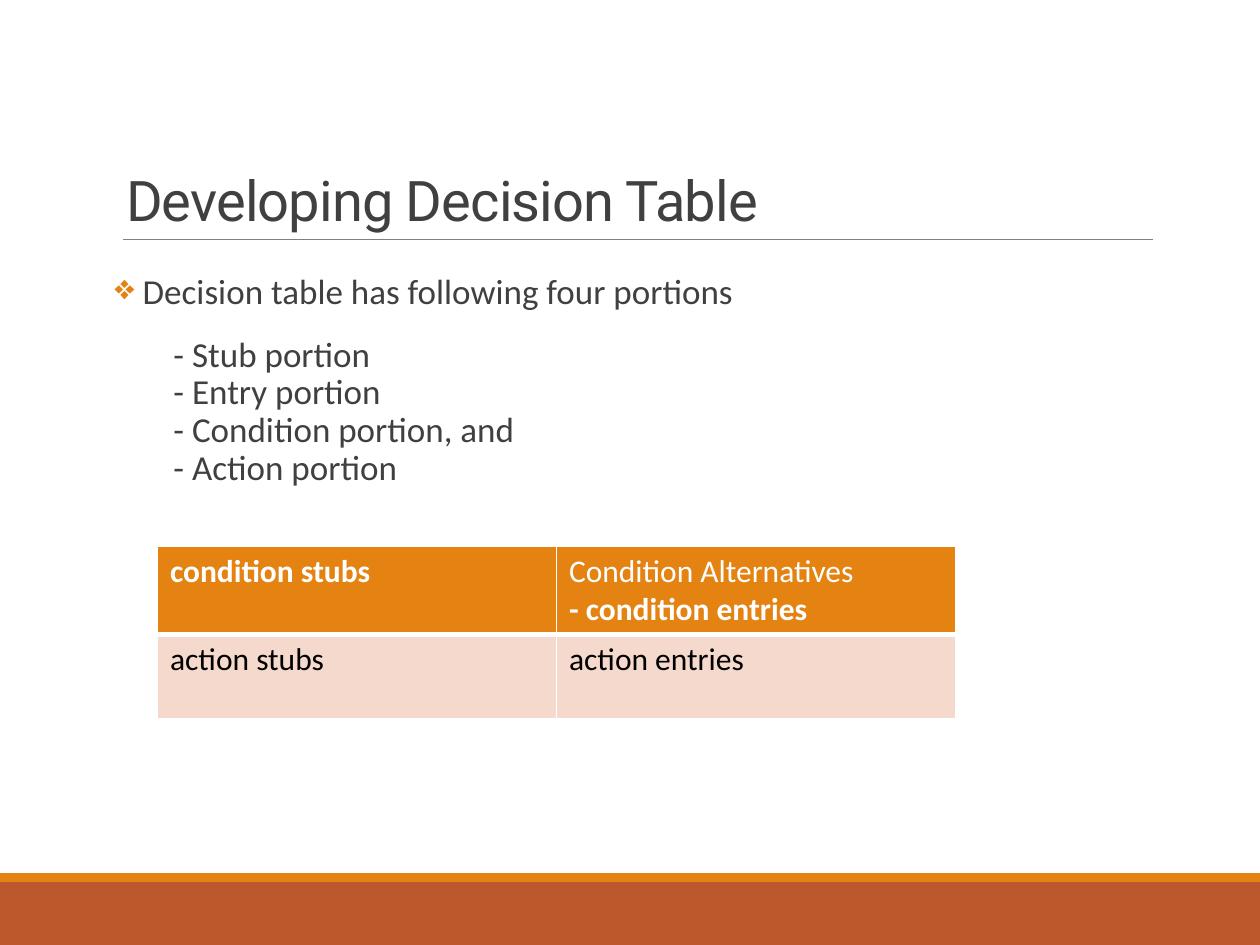
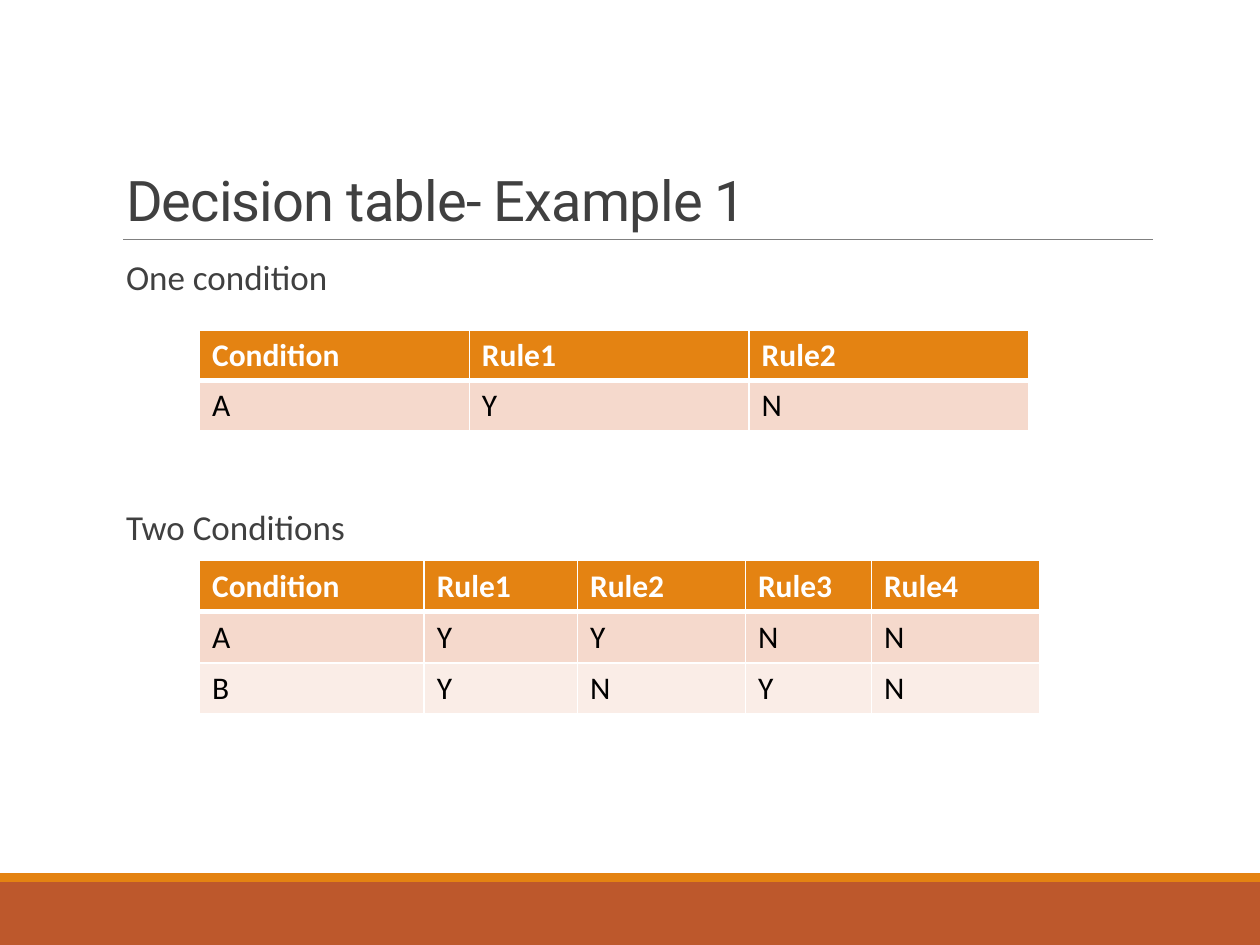
from dataclasses import dataclass

from lxml.etree import SubElement
from pptx import Presentation
from pptx.dml.color import RGBColor as Color
from pptx.enum.shapes import MSO_CONNECTOR as Connector, MSO_SHAPE as Shape
from pptx.enum.text import MSO_ANCHOR as Anchor, MSO_AUTO_SIZE as AutoSize, PP_ALIGN as Align
from pptx.oxml import parse_xml
from pptx.oxml.ns import nsdecls, qn
from pptx.util import Inches, Pt


@dataclass(frozen=True)
class Theme:
    title_font: str = "Roboto"
    body_font: str = "Calibri"
    title_size: int = 32
    body_size: int = 20
    table_size: int = 18
    text: str = "404040"
    accent: str = "E48312"
    band: str = "BD582C"
    rule: str = "808080"
    white: str = "FFFFFF"
    black: str = "000000"
    row_fills: tuple = ("F5D9CC", "FAEDE7")


THEME = Theme()
COLUMNS, ROWS = 120, 90
CELL = Inches(10) / COLUMNS
TITLE_BOX = (10.8, 3.72, 99, 19.08)
BODY_WIDTH, BODY_HEIGHT = 99, 52.8
BAND_TOP, ACCENT_HEIGHT = 84, 0.84
RULE_LEFT, RULE_RIGHT, RULE_TOP = 11.76, 109.8, 22.8
TEXT_INDENT, SUBLIST_INDENT = 1.2, 5.6


def grid(*cells):
    return [round(cell * CELL) for cell in cells]


def add_run(paragraph, text, font, size, color, bold=False):
    run = paragraph.add_run()
    run.text = text
    run.font.name = font
    run.font.size = Pt(size)
    run.font.bold = bold
    run.font.color.rgb = Color.from_string(color)
    return run


def next_paragraph(frame, index):
    return frame.add_paragraph() if index else frame.paragraphs[0]


def add_band(slide, top, height, color):
    band = slide.shapes.add_shape(Shape.RECTANGLE, *grid(0, top, COLUMNS, height))
    band.shadow.inherit = False
    band.fill.solid()
    band.fill.fore_color.rgb = Color.from_string(color)
    band.line.fill.background()


def add_rule(slide):
    rule = slide.shapes.add_connector(
        Connector.STRAIGHT, *grid(RULE_LEFT, RULE_TOP, RULE_RIGHT, RULE_TOP))
    rule.line.color.rgb = Color.from_string(THEME.rule)
    rule.line.width = Pt(0.5)
    SubElement(rule._element.spPr, qn("a:effectLst"))


def set_title(slide, text):
    title = slide.shapes.title
    title.left, title.top, title.width, title.height = grid(*TITLE_BOX)
    frame = title.text_frame
    frame.auto_size = AutoSize.NONE
    frame.vertical_anchor = Anchor.BOTTOM
    paragraph = frame.paragraphs[0]
    paragraph.alignment = Align.LEFT
    paragraph.line_spacing = 0.85
    run = add_run(paragraph, text, THEME.title_font, THEME.title_size, THEME.text)
    run.font._element.set("spc", "-50")


def add_titled_slide(presentation, title):
    slide = presentation.slides.add_slide(presentation.slide_layouts[5])
    add_band(slide, BAND_TOP, ROWS - BAND_TOP, THEME.band)
    add_band(slide, BAND_TOP - ACCENT_HEIGHT, ACCENT_HEIGHT, THEME.accent)
    add_rule(slide)
    set_title(slide, title)
    return slide


def add_body(slide, left, top):
    box = slide.shapes.add_textbox(*grid(left, top, BODY_WIDTH, BODY_HEIGHT))
    frame = box.text_frame
    frame.word_wrap = True
    frame.margin_left = frame.margin_right = 0
    return frame


def add_body_line(frame, index, text, before=12, after=2, indent=TEXT_INDENT, bullet=None):
    paragraph = next_paragraph(frame, index)
    paragraph.line_spacing = 0.9
    paragraph.space_before = Pt(before)
    paragraph.space_after = Pt(after)
    properties = paragraph._p.get_or_add_pPr()
    margin = grid(indent)[0]
    properties.set("marL", str(margin))
    if bullet:
        properties.set("indent", str(-margin))
        color = SubElement(properties, qn("a:buClr"))
        SubElement(color, qn("a:srgbClr"), val=THEME.accent)
        SubElement(properties, qn("a:buChar"), char=bullet)
    add_run(paragraph, text, THEME.body_font, THEME.body_size, THEME.text)


def set_borders(cell, top, bottom):
    properties = cell._tc.get_or_add_tcPr()
    widths = {"lnL": 1, "lnR": 1, "lnT": top, "lnB": bottom}
    for position, (side, width) in enumerate(widths.items()):
        properties.insert(position, parse_xml(
            f'<a:{side} {nsdecls("a")} w="{Pt(width)}"><a:solidFill>'
            f'<a:srgbClr val="{THEME.white}"/></a:solidFill></a:{side}>'))


def fill_cell(cell, lines, row):
    header = row == 0
    cell.fill.solid()
    fill = THEME.accent if header else THEME.row_fills[(row - 1) % 2]
    cell.fill.fore_color.rgb = Color.from_string(fill)
    set_borders(cell, top=3 if row == 1 else 1, bottom=3 if header else 1)
    color = THEME.white if header else THEME.black
    for index, (text, bold) in enumerate(lines):
        paragraph = next_paragraph(cell.text_frame, index)
        add_run(paragraph, text, THEME.body_font, THEME.table_size, color, bold)


def add_decision_table(slide, left, top, column_widths, row_height, rows):
    frame = slide.shapes.add_table(
        len(rows), len(column_widths),
        *grid(left, top, sum(column_widths), row_height * len(rows)))
    table = frame.table
    table.horz_banding = False
    for column, width in zip(table.columns, grid(*column_widths)):
        column.width = width
    for row, contents in enumerate(rows):
        table.rows[row].height = grid(row_height)[0]
        for column, content in enumerate(contents):
            lines = [(content, row == 0)] if isinstance(content, str) else content
            fill_cell(table.cell(row, column), lines, row)


def build_portions_slide(presentation):
    slide = add_titled_slide(presentation, "Developing Decision Table")
    body = add_body(slide, 10.92, 25.56)
    add_body_line(body, 0, " Decision table has following four portions", bullet="❖")
    portions = ["Stub portion", "Entry portion", "Condition portion, and", "Action portion"]
    for index, portion in enumerate(portions, start=1):
        add_body_line(body, index, f"- {portion}", before=12 if index == 1 else 0,
                      after=0, indent=SUBLIST_INDENT)
    alternatives = [("Condition Alternatives", False), ("- condition entries", True)]
    add_decision_table(slide, 15, 52, [38, 38], 8, [
        ["condition stubs", alternatives],
        ["action stubs", "action entries"],
    ])


def build_example_slide(presentation):
    slide = add_titled_slide(presentation, "Decision table- Example 1")
    body = add_body(slide, 10.8, 24.24)
    add_body_line(body, 0, "One condition")
    add_body_line(body, 1, "Two Conditions", before=119)
    add_decision_table(slide, 19, 31.44, [25.7, 26.65, 26.65], 4.8, [
        ["Condition", "Rule1", "Rule2"],
        ["A", "Y", "N"],
    ])
    add_decision_table(slide, 19, 53.4, [21.4, 14.6, 16, 12, 16], 4.87, [
        ["Condition", "Rule1", "Rule2", "Rule3", "Rule4"],
        ["A", "Y", "Y", "N", "N"],
        ["B", "Y", "N", "Y", "N"],
    ])


def main():
    presentation = Presentation()
    presentation.slide_width, presentation.slide_height = grid(COLUMNS, ROWS)
    build_portions_slide(presentation)
    build_example_slide(presentation)
    presentation.save("out.pptx")


if __name__ == "__main__":
    main()
